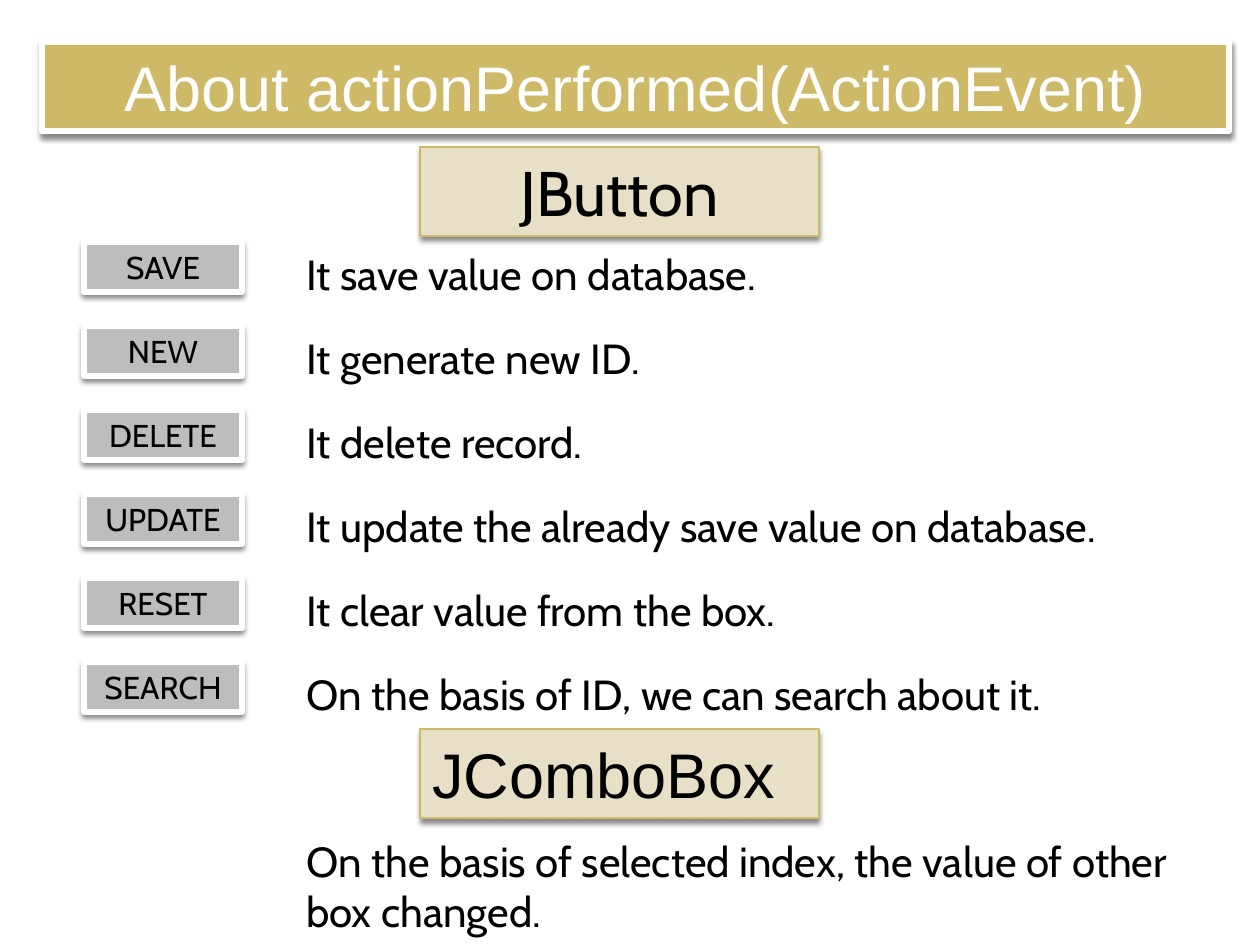
from lxml import etree
from pptx import Presentation, util as u
from pptx.dml.color import RGBColor
from pptx.enum import shapes, text
from pptx.oxml import ns

# Content
TITLE = "About actionPerformed(ActionEvent)"
BUTTON_HEADING = "JButton"
COMBO_HEADING = "JComboBox"
ACTIONS = [
    ("SAVE", "It save value on database."),
    ("NEW", "It generate new ID."),
    ("DELETE", "It delete record."),
    ("UPDATE", "It update the already save value on database."),
    ("RESET", "It clear value from the box."),
    ("SEARCH", "On the basis of ID, we can search about it."),
]
COMBO_NOTE = "On the basis of selected index, the value of other box changed."

# Look and layout, in px at 126 to the inch
COLORS = {"gold": "CEB966", "cream": "E8E0C6", "gray": "BDBDBD",
          "white": "FFFFFF", "black": "000000"}
PX = 914400 / 126
ROW_TOP, ROW_PITCH = 242, 84
NOTE_LEFT, NOTE_WIDTH = 294, 892


def emu(px):
    return u.Emu(round(px * PX))


def color(name):
    return RGBColor.from_string(COLORS[name])


def write(box, words, size=24, font="Cabin", ink="black", align="LEFT"):
    frame = box.text_frame
    frame.word_wrap = True
    frame.auto_size = text.MSO_AUTO_SIZE.SHAPE_TO_FIT_TEXT
    frame.vertical_anchor = text.MSO_ANCHOR.TOP
    line = frame.paragraphs[0]
    line.alignment = text.PP_ALIGN[align]
    run = line.add_run()
    run.text = words
    run.font.size = u.Pt(size)
    run.font.name = font
    run.font.color.rgb = color(ink)


def add_shadow(panel):
    panel.shadow.inherit = False
    effects = panel._element.spPr.find(ns.qn("a:effectLst"))
    shadow = etree.SubElement(
        effects, ns.qn("a:outerShdw"), blurRad=str(u.Pt(3)),
        dist=str(u.Pt(2.4)), dir="5400000", rotWithShape="0")
    tint = etree.SubElement(shadow, ns.qn("a:srgbClr"), val=COLORS["black"])
    etree.SubElement(tint, ns.qn("a:alpha"), val="45000")


def add_panel(slide, place, words, fill, border, width, **style):
    panel = slide.shapes.add_shape(shapes.MSO_SHAPE.RECTANGLE, *map(emu, place))
    panel.fill.solid()
    panel.fill.fore_color.rgb = color(fill)
    panel.line.color.rgb = color(border)
    panel.line.width = u.Pt(width)
    add_shadow(panel)
    write(panel, words, **style)


def add_heading(slide, top, words, **style):
    add_panel(slide, (420, top, 399, 89), words, "cream", "gold", 0.79,
              size=36, **style)


def add_note(slide, top, height, words):
    place = (NOTE_LEFT, top, NOTE_WIDTH, height)
    write(slide.shapes.add_textbox(*map(emu, place)), words)


def main():
    deck = Presentation()
    deck.slide_width, deck.slide_height = emu(1260), emu(945)
    slide = deck.slides.add_slide(deck.slide_layouts[6])

    # Title bar
    add_panel(slide, (42, 42, 1187, 89), TITLE, "gold", "white", 3.75,
              size=36, font="Arial", ink="white", align="CENTER")

    # Buttons and what each one does
    add_heading(slide, 147, BUTTON_HEADING, align="CENTER")
    for row, (label, meaning) in enumerate(ACTIONS):
        top = ROW_TOP + row * ROW_PITCH
        add_panel(slide, (84, top, 158, 50), label, "gray", "white", 3,
                  size=18, align="CENTER")
        add_note(slide, top, 63, meaning)

    # Combo box
    add_heading(slide, 729, COMBO_HEADING, font="Arial")
    add_note(slide, 829, 115, COMBO_NOTE)

    deck.save("out.pptx")


if __name__ == "__main__":
    main()
